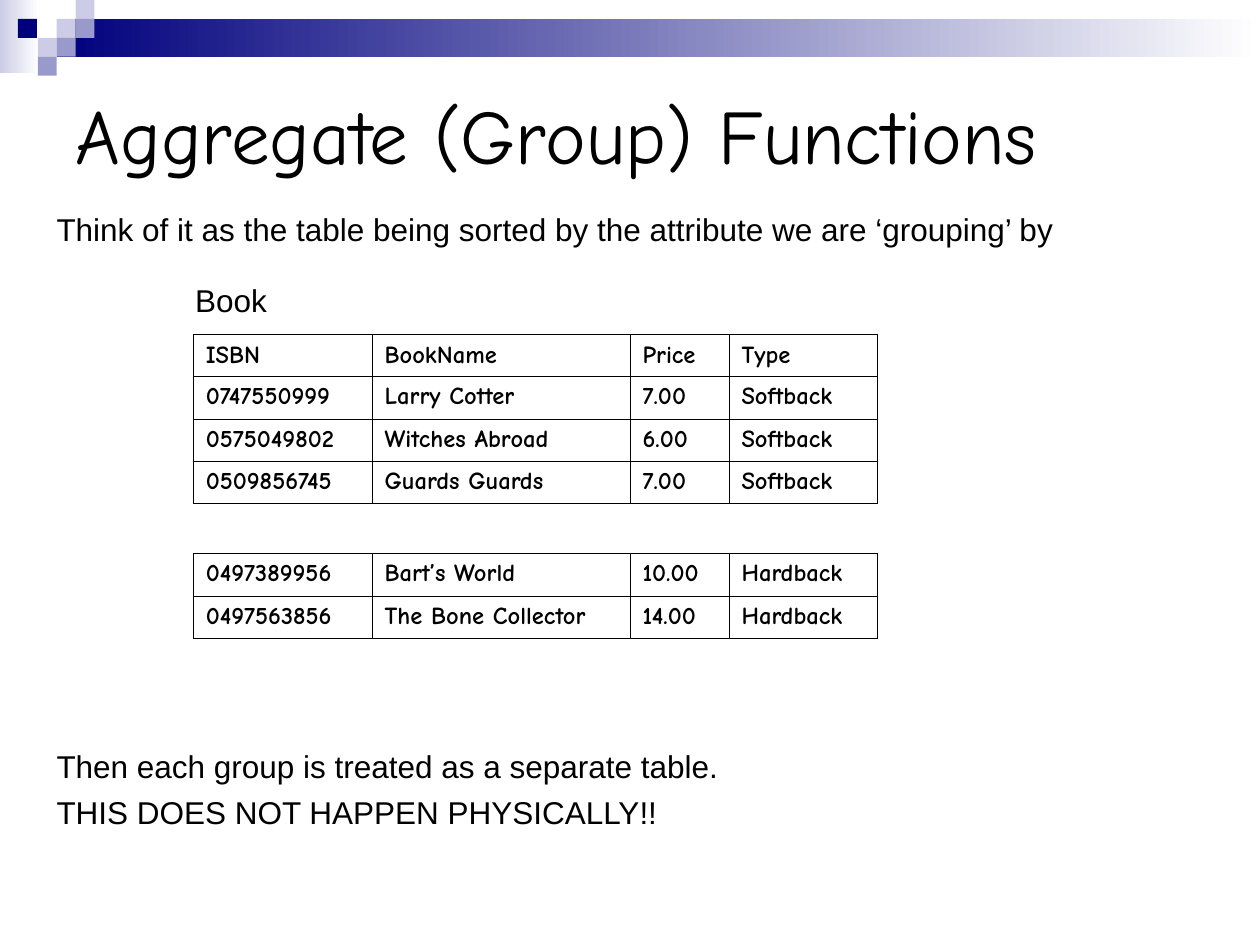
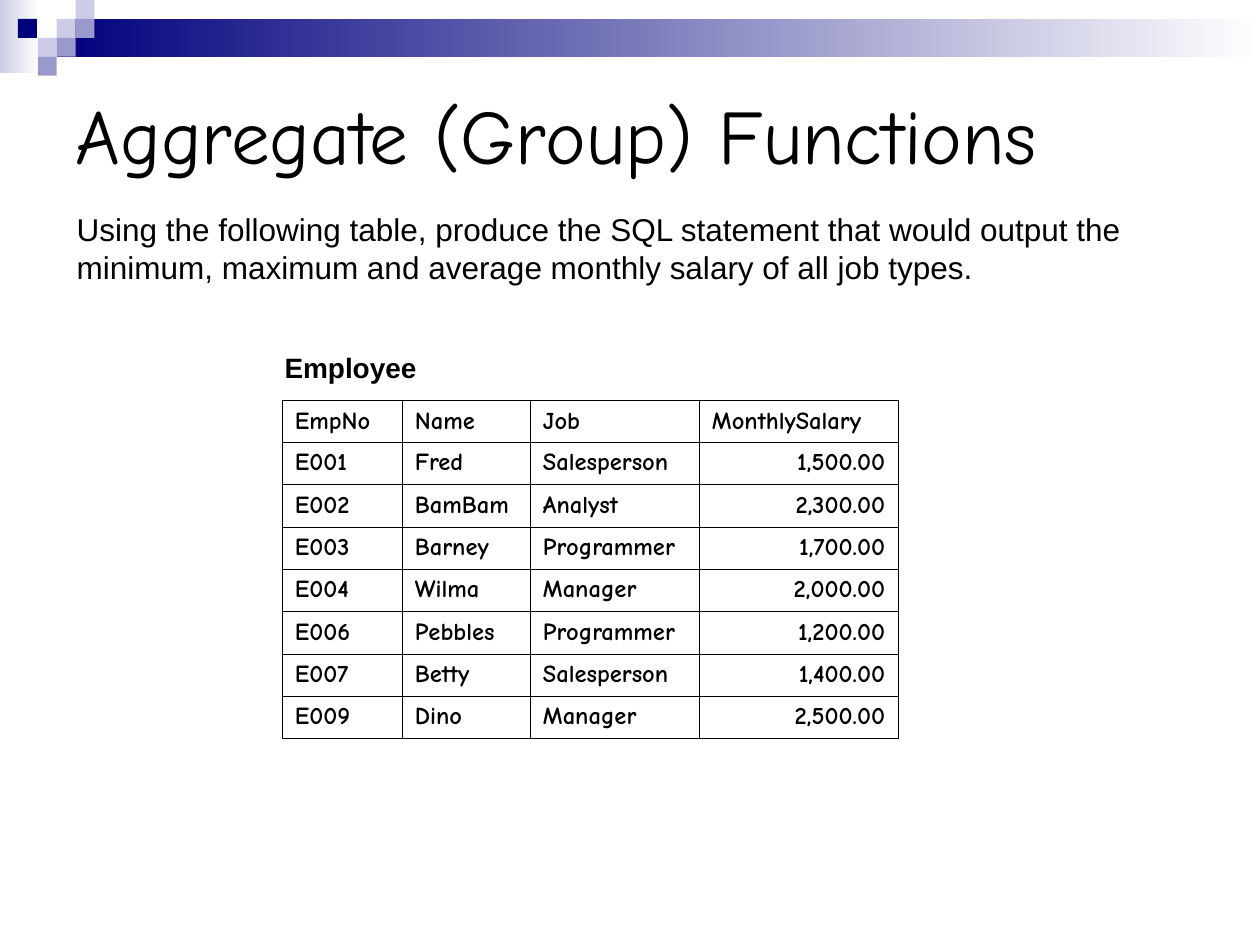
from lxml.etree import SubElement, QName
from pptx import Presentation
from pptx.dml.color import RGBColor
from pptx.enum.shapes import MSO_SHAPE
from pptx.enum.text import MSO_ANCHOR as ANCHOR, MSO_AUTO_SIZE as AUTO_SIZE, PP_ALIGN as ALIGN
from pptx.oxml.ns import qn
from pptx.util import Pt

BLACK = RGBColor(0x00, 0x00, 0x00)
WHITE = RGBColor(0xFF, 0xFF, 0xFF)
NAVY = RGBColor(0x00, 0x00, 0x7D)
LILAC = RGBColor(0x99, 0x99, 0xCC)
PALE = RGBColor(0xCC, 0xCC, 0xE6)
BODY_FONT = "Arial"
COMIC_FONT = "Comic Neue"
SQUARE = 10.8
ROW_HEIGHT = 24.2
GAP_HEIGHT = 28.6


def write(frame, text, font=BODY_FONT, size=18, bold=False, align=ALIGN.LEFT,
          anchor=ANCHOR.TOP, space_before=0):
    frame.word_wrap = True
    frame.vertical_anchor = anchor
    for index, line in enumerate(text.split("\n")):
        paragraph = frame.add_paragraph() if index else frame.paragraphs[0]
        paragraph.alignment = align
        paragraph.space_before = Pt(space_before if index else 0)
        run = paragraph.add_run()
        run.text = line
        run.font.name = font
        run.font.size = Pt(size)
        run.font.bold = bold
        run.font.color.rgb = BLACK


def set_borders(cell, sides, width=0.4):
    properties = cell._tc.get_or_add_tcPr()
    for index, side in enumerate("LRTB"):
        line = SubElement(properties, QName(qn(f"a:ln{side}")), w=str(Pt(width)))
        if side in sides:
            fill = SubElement(line, qn("a:solidFill"))
            SubElement(fill, qn("a:srgbClr"), val=str(BLACK))
        else:
            SubElement(line, qn("a:noFill"))
        properties.insert(index, line)


presentation = Presentation()
presentation.slide_width = Pt(720)
presentation.slide_height = Pt(540)
layout = presentation.slide_layouts[5]
master_tree = presentation.slide_master.shapes.element

slide_contents = [
    {
        "texts": [
            (25.2, 116.6, 669, 28.8,
             "Think of it as the table being sorted by the attribute we are ‘grouping’ by", {}),
            (25.2, 423.4, 641, 55.4,
             "Then each group is treated as a separate table.\nTHIS DOES NOT HAPPEN PHYSICALLY!!",
             {"space_before": 4.5}),
            (104.4, 157, 209.5, 28.8, "Book", {}),
        ],
        "table_at": (110.4, 191),
        "columns": [102.2, 147.4, 56.6, 85],
        "rows": [
            ["ISBN", "BookName", "Price", "Type"],
            ["0747550999", "Larry Cotter", "7.00", "Softback"],
            ["0575049802", "Witches Abroad", "6.00", "Softback"],
            ["0509856745", "Guards Guards", "7.00", "Softback"],
            ["", "", "", ""],
            ["0497389956", "Bart’s World", "10.00", "Hardback"],
            ["0497563856", "The Bone Collector", "14.00", "Hardback"],
        ],
        "right_column": None,
    },
    {
        "texts": [
            (36.7, 116.6, 646.6, 50.4,
             "Using the following table, produce the SQL statement that would output the "
             "minimum, maximum and average monthly salary of all job types.", {}),
            (155.5, 196.6, 102.2, 26.6, "Employee", {"size": 16, "bold": True}),
        ],
        "table_at": (161.3, 228.6),
        "columns": [68.6, 73.2, 96.6, 113.4],
        "rows": [
            ["EmpNo", "Name", "Job", "MonthlySalary"],
            ["E001", "Fred", "Salesperson", "1,500.00"],
            ["E002", "BamBam", "Analyst", "2,300.00"],
            ["E003", "Barney", "Programmer", "1,700.00"],
            ["E004", "Wilma", "Manager", "2,000.00"],
            ["E006", "Pebbles", "Programmer", "1,200.00"],
            ["E007", "Betty", "Salesperson", "1,400.00"],
            ["E009", "Dino", "Manager", "2,500.00"],
        ],
        "right_column": 3,
    },
]
slides = [presentation.slides.add_slide(layout) for content in slide_contents]

bands = [(0, 0, 22.2, 42, PALE), (3 * SQUARE, SQUARE, 687.6, 2 * SQUARE, NAVY)]
squares = [(3, 1, PALE), (4, 0, PALE), (4, 1, LILAC), (2, 2, PALE),
           (0.95, 1, NAVY), (3, 2, LILAC), (2, 3, LILAC)]
decorations = [(*band, True) for band in bands]
decorations += [(column * SQUARE, row * SQUARE, SQUARE, SQUARE, color, False)
                for column, row, color in squares]
for index, (left, top, width, height, color, fades) in enumerate(decorations):
    shape = slides[0].shapes.add_shape(
        MSO_SHAPE.RECTANGLE, Pt(left), Pt(top), Pt(width), Pt(height))
    shape.shadow.inherit = False
    shape.line.fill.background()
    if fades:
        shape.fill.gradient()
        shape.fill.gradient_angle = 0
        for stop, stop_color, position in zip(shape.fill.gradient_stops, (color, WHITE), (0, 1)):
            stop.color.rgb = stop_color
            stop.position = position
    else:
        shape.fill.solid()
        shape.fill.fore_color.rgb = color
    shape.element.nvSpPr.cNvPr.set("id", str(100 + index))
    master_tree.insert(2 + index, shape.element)

for slide, content in zip(slides, slide_contents):
    title = slide.shapes.title
    title.left, title.top, title.width, title.height = Pt(36), Pt(36), Pt(648), Pt(80.6)
    title.text_frame.auto_size = AUTO_SIZE.NONE
    write(title.text_frame, "Aggregate (Group) Functions",
          font=COMIC_FONT, size=44, anchor=ANCHOR.MIDDLE)

    for left, top, width, height, text, text_format in content["texts"]:
        box = slide.shapes.add_textbox(Pt(left), Pt(top), Pt(width), Pt(height))
        write(box.text_frame, text, **text_format)

    rows, columns = content["rows"], content["columns"]
    heights = [ROW_HEIGHT if any(row) else GAP_HEIGHT for row in rows]
    left, top = content["table_at"]
    table = slide.shapes.add_table(len(rows), len(columns), Pt(left), Pt(top),
                                   Pt(sum(columns)), Pt(sum(heights))).table
    table.first_row = False
    table.horz_banding = False
    for column, width in zip(table.columns, columns):
        column.width = Pt(width)
    for row_index, (values, height) in enumerate(zip(rows, heights)):
        table.rows[row_index].height = Pt(height)
        for column_index, value in enumerate(values):
            cell = table.cell(row_index, column_index)
            cell.fill.solid()
            cell.fill.fore_color.rgb = WHITE
            set_borders(cell, "LRTB" if value else "TB")
            if not value:
                cell.margin_top = cell.margin_bottom = 0
                continue
            is_right = row_index > 0 and column_index == content["right_column"]
            write(cell.text_frame, value, font=COMIC_FONT, size=14, bold=True,
                  align=ALIGN.RIGHT if is_right else ALIGN.LEFT)
            cell.vertical_anchor = ANCHOR.TOP if row_index else ANCHOR.MIDDLE

presentation.save("out.pptx")
